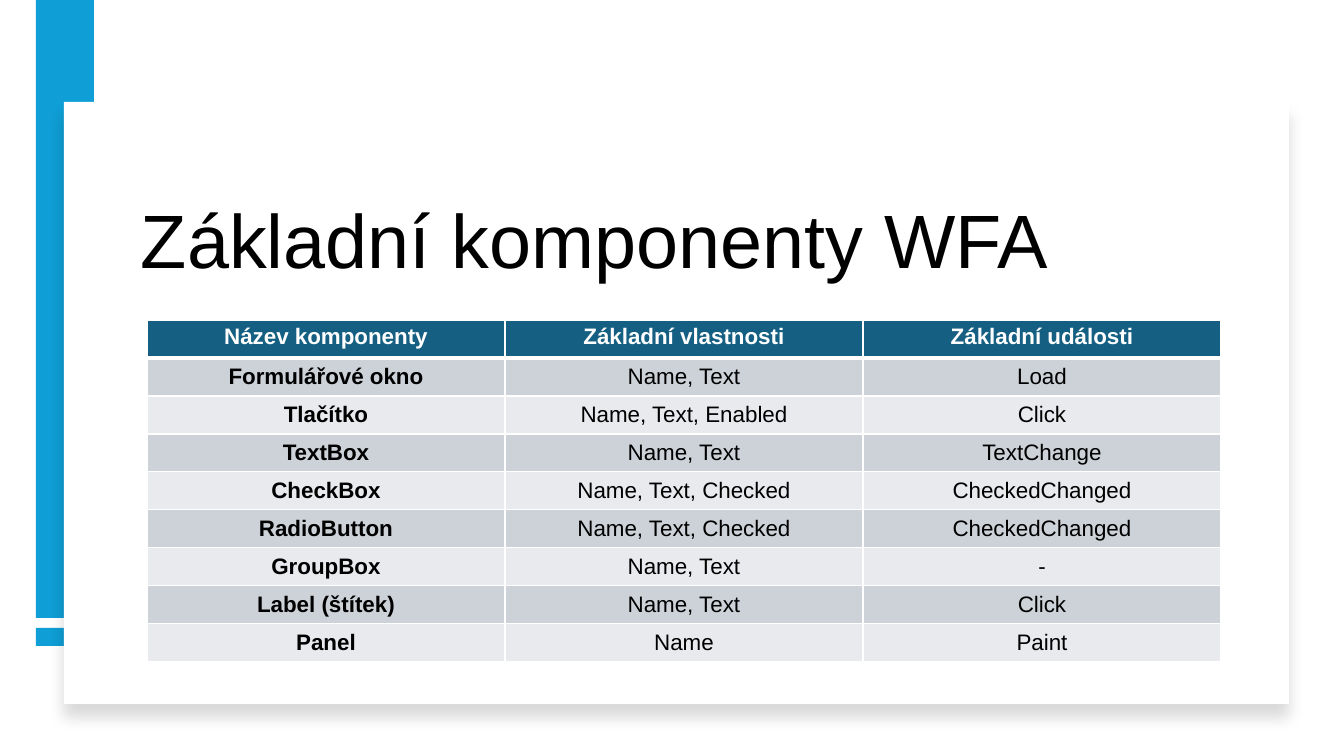
from pptx import Presentation, util as u
from pptx.dml.color import RGBColor
from pptx.enum import shapes, text
from pptx.oxml import parse_xml
from pptx.oxml.ns import nsdecls

TITLE = "Základní komponenty WFA"
ROWS = [
    ("Název komponenty", "Základní vlastnosti", "Základní události"),
    ("Formulářové okno", "Name, Text", "Load"),
    ("Tlačítko", "Name, Text, Enabled", "Click"),
    ("TextBox", "Name, Text", "TextChange"),
    ("CheckBox", "Name, Text, Checked", "CheckedChanged"),
    ("RadioButton", "Name, Text, Checked", "CheckedChanged"),
    ("GroupBox", "Name, Text", "-"),
    ("Label (štítek)", "Name, Text", "Click"),
    ("Panel", "Name", "Paint"),
]
COLORS = {"accent": "0F9ED5", "white": "FFFFFF", "black": "000000",
          "header": "156082", "odd": "CCD2D8", "even": "E8EAED"}
FONT = "Arial"
STRIPES = [(36, 0, 58, 618), (36, 628, 58, 18)]
PANEL = (64, 102, 1225, 602)
TITLE_BOX = (141, 136, 1086, 149)
TABLE_LEFT, TABLE_TOP, COL_W, ROW_H = 147, 320, 358, 38


def px(n):
    return u.Emu(round(n * 914400 / 100.8))


def rgb(name):
    return RGBColor.from_string(COLORS[name])


def style(font, size, color, bold=False):
    font.name, font.size, font.bold = FONT, u.Pt(size), bold
    font.color.rgb = rgb(color)


def add_rect(s, box, color):
    sp = s.shapes.add_shape(shapes.MSO_SHAPE.RECTANGLE, *map(px, box))
    sp.shadow.inherit = False
    sp.fill.solid()
    sp.fill.fore_color.rgb = rgb(color)
    sp.line.fill.background()
    return sp


def add_shadow(sp):
    effects = sp._element.spPr.find("{*}effectLst")
    effects.append(parse_xml(
        f'<a:outerShdw {nsdecls("a")} blurRad="{u.Pt(11)}" dist="{u.Pt(10)}" '
        f'dir="5400000" algn="t" rotWithShape="0"><a:srgbClr val="{COLORS["black"]}">'
        '<a:alpha val="15000"/></a:srgbClr></a:outerShdw>'))


def add_borders(cell, bottom):
    tcPr = cell._tc.get_or_add_tcPr()
    for i, (side, width) in enumerate(zip("LRTB", (1, 1, 1, bottom))):
        tcPr.insert(i, parse_xml(
            f'<a:ln{side} {nsdecls("a")} w="{u.Pt(width)}"><a:solidFill>'
            f'<a:srgbClr val="{COLORS["white"]}"/></a:solidFill></a:ln{side}>'))


def fill_cell(cell, value, row, col):
    header = row == 0
    cell.text = value
    cell.margin_left = cell.margin_right = px(9)
    cell.margin_top = cell.margin_bottom = px(4)
    cell.vertical_anchor = text.MSO_ANCHOR.TOP if header else text.MSO_ANCHOR.MIDDLE
    cell.fill.solid()
    cell.fill.fore_color.rgb = rgb("header" if header else "odd" if row % 2 else "even")
    add_borders(cell, 3 if header else 1)
    p = cell.text_frame.paragraphs[0]
    p.alignment = text.PP_ALIGN.CENTER
    style(p.font, 16, "white" if header else "black", header or col == 0)


def add_title(s, panel):
    title = s.shapes.title
    panel._element.addnext(title._element)
    title.left, title.top, title.width, title.height = map(px, TITLE_BOX)
    tf = title.text_frame
    tf.text = TITLE
    tf.word_wrap = True
    tf.auto_size = text.MSO_AUTO_SIZE.NONE
    tf.vertical_anchor = text.MSO_ANCHOR.BOTTOM
    tf.margin_left = tf.margin_right = tf.margin_top = tf.margin_bottom = 0
    p = tf.paragraphs[0]
    p.alignment = text.PP_ALIGN.LEFT
    p.line_spacing = 0.9
    style(p.font, 54, "black")


def add_components(s):
    n_rows, n_cols = len(ROWS), len(ROWS[0])
    box = (TABLE_LEFT, TABLE_TOP, COL_W * n_cols, ROW_H * n_rows)
    table = s.shapes.add_table(n_rows, n_cols, *map(px, box)).table
    for column in table.columns:
        column.width = px(COL_W)
    for r, values in enumerate(ROWS):
        table.rows[r].height = px(ROW_H)
        for c, value in enumerate(values):
            fill_cell(table.cell(r, c), value, r, c)


def main():
    prs = Presentation()
    prs.slide_width, prs.slide_height = px(1344), px(756)
    s = prs.slides.add_slide(prs.slide_layouts[5])
    for box in STRIPES:
        add_rect(s, box, "accent")
    panel = add_rect(s, PANEL, "white")
    add_shadow(panel)
    add_title(s, panel)
    add_components(s)
    prs.save("out.pptx")


if __name__ == "__main__":
    main()
